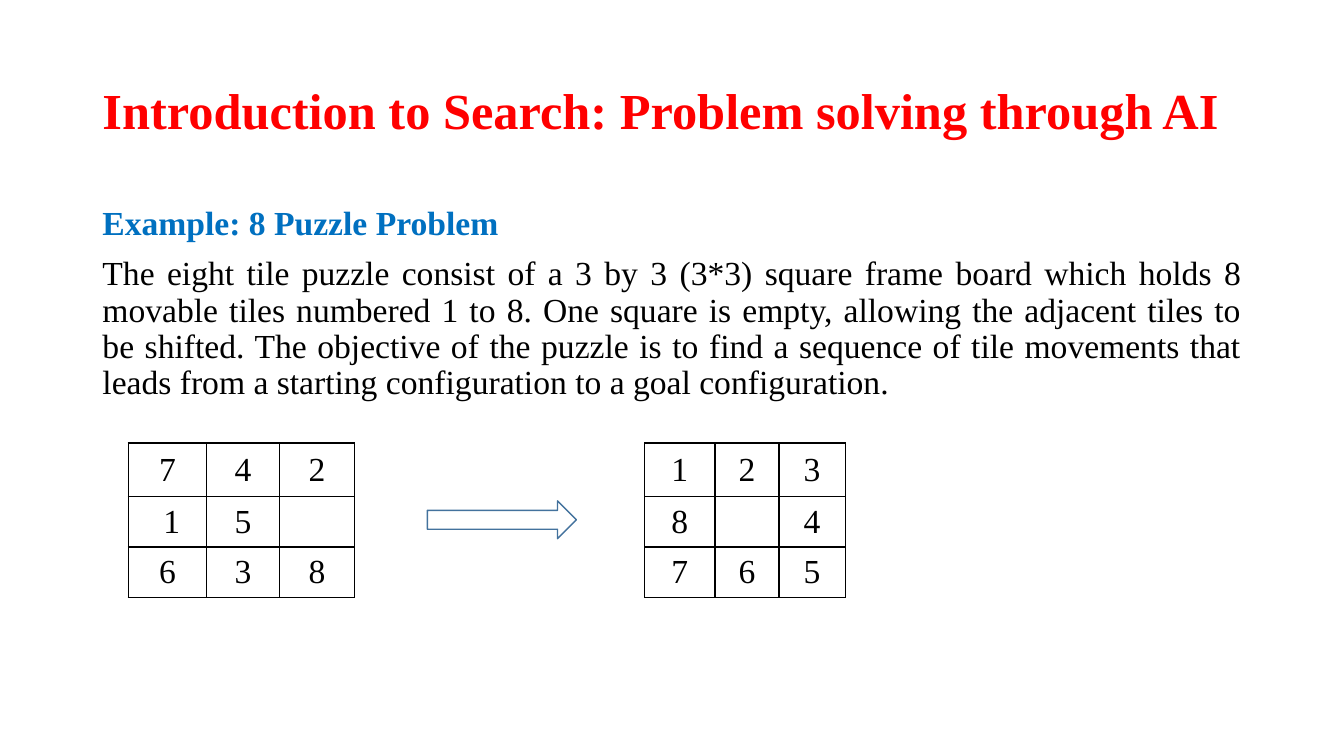
from pptx import Presentation
from pptx.dml.color import RGBColor
from pptx.enum.shapes import MSO_SHAPE as Shape
from pptx.enum.text import MSO_ANCHOR as Anchor, MSO_AUTO_SIZE as AutoSize, PP_ALIGN as Align
from pptx.oxml.ns import qn
from pptx.util import Emu, Pt
from lxml.etree import SubElement

PX = 9525
FONT = "Times New Roman"
BLACK = "000000"


def px(length):
    return Emu(length * PX)


def colour(value):
    return RGBColor.from_string(value)


class SlideBuilder:
    def __init__(self, deck):
        self.page = deck.slides.add_slide(deck.slide_layouts[1])

    def place(self, box, left, top, width, height):
        box.left, box.top = px(left), px(top)
        box.width, box.height = px(width), px(height)

    def style(self, para, size, ink, bold=False):
        for span in para.runs:
            span.font.name = FONT
            span.font.size = Pt(size)
            span.font.bold = bold
            span.font.color.rgb = colour(ink)

    def title(self, text, bounds, size, ink):
        box = self.page.shapes.title
        self.place(box, *bounds)
        frame = box.text_frame
        frame.text = text
        frame.auto_size = AutoSize.NONE
        frame.vertical_anchor = Anchor.MIDDLE
        para = frame.paragraphs[0]
        para.alignment = Align.LEFT
        para.line_spacing = 0.9
        self.style(para, size, ink, True)

    def body(self, items, bounds, size):
        box = self.page.placeholders[1]
        self.place(box, *bounds)
        frame = box.text_frame
        frame.auto_size = AutoSize.NONE
        frame.vertical_anchor = Anchor.TOP
        for index, (text, ink, bold) in enumerate(items):
            para = frame.add_paragraph() if index else frame.paragraphs[0]
            para.text = text
            properties = para._p.get_or_add_pPr()
            properties.set("marL", "0")
            properties.set("indent", "0")
            SubElement(properties, qn("a:buNone"))
            para.alignment = Align.JUSTIFY
            para.line_spacing = 0.9
            para.space_before = Pt(10 if index else 0)
            self.style(para, size, ink, bold)

    def border(self, cell):
        properties = cell._tc.get_or_add_tcPr()
        for side in ("lnL", "lnR", "lnT", "lnB"):
            line = SubElement(properties, qn(f"a:{side}"), w=str(Pt(0.96)))
            fill = SubElement(line, qn("a:solidFill"))
            SubElement(fill, qn("a:srgbClr"), val=BLACK)

    def board(self, tiles, left, top, widths, heights, size):
        table = self.page.shapes.add_table(
            len(heights), len(widths), px(left), px(top),
            px(sum(widths)), px(sum(heights))).table
        table.first_row = table.horz_banding = False
        for column, width in zip(table.columns, widths):
            column.width = px(width)
        for row, height, numbers in zip(table.rows, heights, tiles):
            row.height = px(height)
            for cell, number in zip(row.cells, numbers):
                cell.text = number
                cell.vertical_anchor = Anchor.MIDDLE
                self.border(cell)
                cell.fill.background()
                para = cell.text_frame.paragraphs[0]
                para.alignment = Align.CENTER
                self.style(para, size, BLACK)

    def arrow(self, left, top, width, height, ink):
        arrow = self.page.shapes.add_shape(
            Shape.RIGHT_ARROW, px(left), px(top), px(width), px(height))
        arrow.shadow.inherit = False
        arrow.fill.background()
        arrow.line.color.rgb = colour(ink)
        arrow.line.width = Pt(1)


def main():
    deck = Presentation()
    deck.slide_width, deck.slide_height = px(1280), px(720)
    slide = SlideBuilder(deck)
    slide.title("Introduction to Search: Problem solving through AI",
                (88, 38, 1104, 139), 36, "FF0000")
    slide.body([
        ("Example: 8 Puzzle Problem", "0070C0", True),
        ("The eight tile puzzle consist of a 3 by 3 (3*3) square frame board "
         "which holds 8 movable tiles numbered 1 to 8. One square is empty, "
         "allowing the adjacent tiles to be shifted. The objective of the "
         "puzzle is to find a sequence of tile movements that leads from a "
         "starting configuration to a goal configuration.", BLACK, False),
    ], (88, 192, 1104, 477), 24)
    board_top, row_heights = 422, (51, 48, 48)
    start = (("7", "4", "2"), (" 1", "5", ""), ("6", "3", "8"))
    goal = (("1", "2", "3"), ("8", "", "4"), ("7", "6", "5"))
    slide.board(start, 122, board_top, (75, 69, 72), row_heights, 24)
    slide.board(goal, 614, board_top, (67, 61, 63), row_heights, 24)
    slide.arrow(407, 477, 142, 36, "43729D")
    deck.save("out.pptx")


if __name__ == "__main__":
    main()
